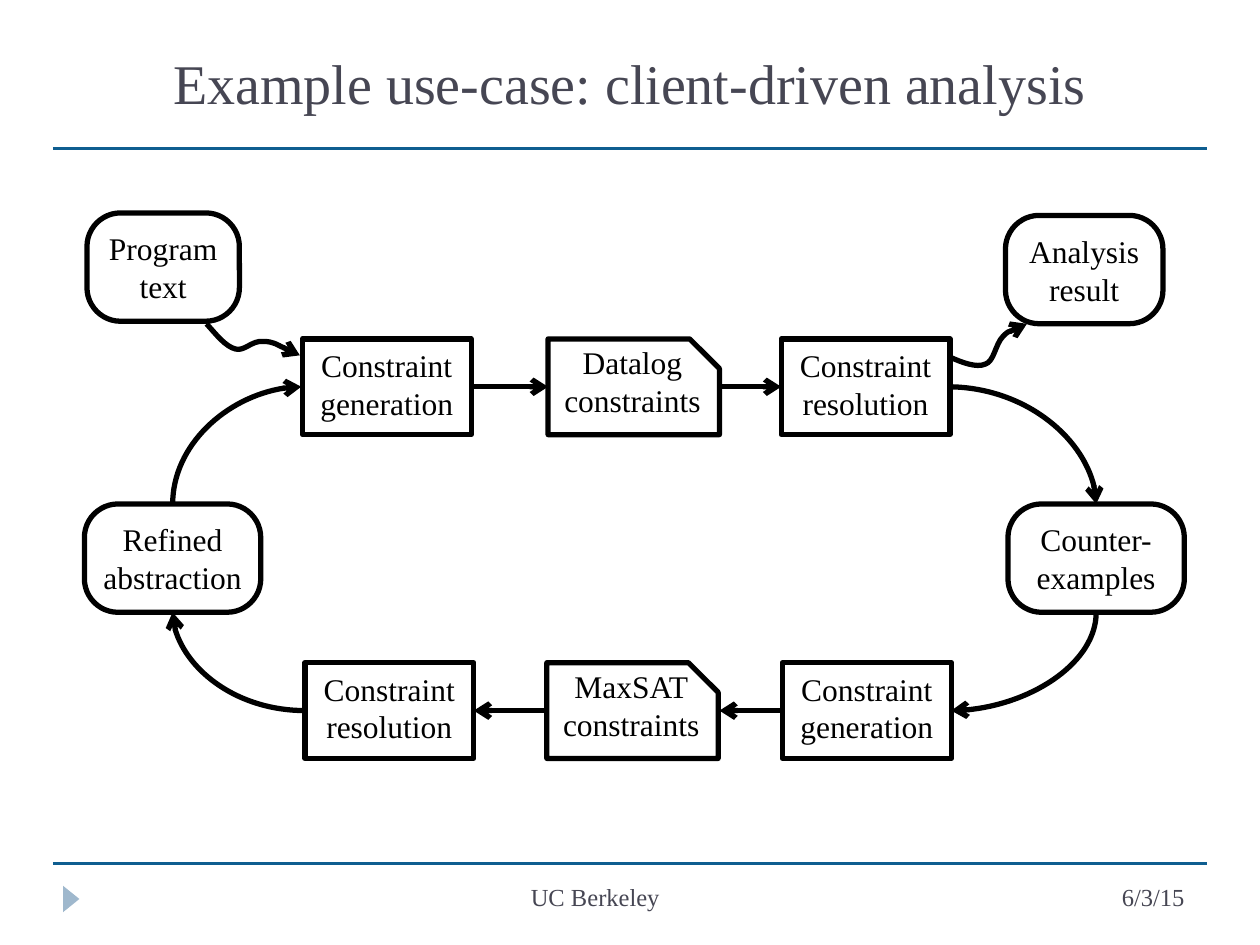
from dataclasses import dataclass

from lxml import etree
from pptx import Presentation
from pptx.dml.color import RGBColor
from pptx.enum import shapes, text
from pptx.oxml.ns import qn
from pptx.util import Inches, Pt

FONT = "Times New Roman"
INK, GREY, BLUE, PALE, WHITE = "000000", "464653", "0F5E90", "9FB8CD", "FFFFFF"
Point = tuple[float, float]


@dataclass(frozen=True)
class Style:
    shape: shapes.MSO_SHAPE
    size: Point
    insets: tuple[float, float, float, float]  # left, top, right, bottom
    adj: float | None = None
    fill: str | None = None


@dataclass(frozen=True)
class Node:
    label: str
    left: float
    top: float
    style: Style


RECT, ROUND, SNIP = (shapes.MSO_SHAPE.RECTANGLE, shapes.MSO_SHAPE.ROUNDED_RECTANGLE,
                     shapes.MSO_SHAPE.SNIP_1_RECTANGLE)
ROUND_INSETS = (0, 0.05, 0, 0.05)
STEP = Style(RECT, (1.34, 0.76), (0.1, 0.05, 0.1, 0.1), fill=WHITE)
DATA = Style(SNIP, (1.36, 0.76), (0.1, 0, 0, 0.21), 0.31)
STATE = Style(ROUND, (1.4, 0.86), ROUND_INSETS, 0.31)
INPUT = Style(ROUND, (1.21, 0.86), ROUND_INSETS, 0.31)
OUTPUT = Style(ROUND, (1.25, 0.86), ROUND_INSETS, 0.31)

# A "\v" in a label is a line break.
NODES = [
    Node("Program\vtext", 0.69, 1.69, INPUT),
    Node("Analysis\vresult", 7.98, 1.71, OUTPUT),
    Node("Constraint\vgeneration", 2.4, 2.69, STEP),
    Node("Datalog\vconstraints", 4.35, 2.69, DATA),
    Node("Constraint\vresolution", 6.2, 2.69, STEP),
    Node("Refined\vabstraction", 0.67, 4, STATE),
    Node("Counter-examples", 8, 4, STATE),
    Node("Constraint\vresolution", 2.42, 5.26, STEP),
    Node("MaxSAT\vconstraints", 4.34, 5.26, DATA),
    Node("Constraint\vgeneration", 6.21, 5.26, STEP),
]
STRAIGHT_ARROWS = [
    ((3.74, 3.07), (4.35, 3.07)),
    ((5.71, 3.07), (6.2, 3.07)),
    ((6.21, 5.64), (5.71, 5.64)),
    ((4.34, 5.64), (3.76, 5.64)),
]
# Start, end, and whether the arc leaves its start vertically.
ARCS = [
    ((7.52, 3.07), (8.7, 4), False),
    ((8.7, 4.86), (7.55, 5.64), True),
    ((2.42, 5.64), (1.37, 4.86), False),
    ((1.37, 4), (2.39, 3.07), True),
]
# Start point, then two control points and an end point per Bézier segment.
WAVES = [
    [(1.64, 2.57), (1.72, 2.66), (1.79, 2.75), (1.87, 2.77), (1.94, 2.79),
     (2, 2.7), (2.09, 2.71), (2.17, 2.71), (2.33, 2.8), (2.38, 2.82)],
    [(7.53, 2.83), (7.64, 2.88), (7.75, 2.92), (7.82, 2.89), (7.89, 2.87),
     (7.9, 2.73), (7.96, 2.67), (8.01, 2.62), (8.12, 2.59), (8.15, 2.57)],
]


def rgb(color: str) -> RGBColor:
    return RGBColor.from_string(color)


def set_line(sp, color: str = INK, width: float = 3) -> None:
    sp.line.color.rgb = rgb(color)
    sp.line.width = Pt(width)


def add_arrowhead(sp) -> None:
    etree.SubElement(sp.line._get_or_add_ln(), qn("a:tailEnd"), type="arrow")


def set_text(tf, label: str, size: float, color: str, align=text.PP_ALIGN.CENTER) -> None:
    tf.word_wrap = True
    tf.text = label
    p = tf.paragraphs[0]
    p.alignment = align
    p.font.name, p.font.size = FONT, Pt(size)
    p.font.color.rgb = rgb(color)


def add_node(s, node: Node) -> None:
    style = node.style
    sp = s.shapes.add_shape(style.shape, *map(Inches, (node.left, node.top, *style.size)))
    sp.shadow.inherit = False
    if style.adj is not None:
        sp.adjustments[0] = style.adj
    if style.fill:
        sp.fill.solid()
        sp.fill.fore_color.rgb = rgb(style.fill)
    else:
        sp.fill.background()
    set_line(sp)
    tf = sp.text_frame
    tf.margin_left, tf.margin_top, tf.margin_right, tf.margin_bottom = map(Inches, style.insets)
    tf.vertical_anchor = text.MSO_ANCHOR.MIDDLE
    set_text(tf, node.label, 18, INK)


def add_line(s, start: Point, end: Point, color: str = INK, width: float = 3,
             kind=shapes.MSO_CONNECTOR.STRAIGHT):
    c = s.shapes.add_connector(kind, *map(Inches, (*start, *end)))
    set_line(c, color, width)
    etree.SubElement(c._element.spPr, qn("a:effectLst"))
    return c


def add_arc(s, start: Point, end: Point, vertical_first: bool) -> None:
    """Quarter-turn arrow; one leaving vertically is laid out flat, then turned 90°."""
    (x1, y1), (x2, y2) = start, end
    if vertical_first:
        cx, cy = (x1 + x2) / 2, (y1 + y2) / 2
        dx, dy = (y2 - y1) / 2, (x1 - x2) / 2
        start, end = (cx - dx, cy - dy), (cx + dx, cy + dy)
    c = add_line(s, start, end, kind=shapes.MSO_CONNECTOR.CURVE)
    spPr = c._element.spPr
    spPr.find(qn("a:prstGeom")).set("prst", "curvedConnector2")
    if vertical_first:
        spPr.find(qn("a:xfrm")).set("rot", str(90 * 60000))
    add_arrowhead(c)


def add_wave(s, points: list[Point]) -> None:
    """Open freeform whose line segments are regrouped into cubic Béziers."""
    scaled = [(Inches(x), Inches(y)) for x, y in points]
    builder = s.shapes.build_freeform(*scaled[0])
    builder.add_line_segments(scaled[1:], close=False)
    sp = builder.convert_to_shape()
    sp.shadow.inherit = False
    sp.fill.background()
    set_line(sp)
    add_arrowhead(sp)
    path = next(sp._element.iter(qn("a:path")))
    segments = path.findall(qn("a:lnTo"))
    for i in range(0, len(segments), 3):
        curve = etree.SubElement(path, qn("a:cubicBezTo"))
        for segment in segments[i:i + 3]:
            curve.append(segment[0])
            path.remove(segment)


def add_label(s, label: str, left: float, width: float, align) -> None:
    tb = s.shapes.add_textbox(*map(Inches, (left, 6.95, width, 0.4)))
    set_text(tb.text_frame, label, 14, GREY, align)


def main() -> None:
    prs = Presentation()
    prs.slide_width, prs.slide_height = Inches(10), Inches(7.5)
    s = prs.slides.add_slide(prs.slide_layouts[5])

    title = s.shapes.title
    title.left, title.top, title.width, title.height = map(Inches, (0.5, 0.17, 9, 0.97))
    title.text_frame.vertical_anchor = text.MSO_ANCHOR.MIDDLE
    set_text(title.text_frame, "Example use-case: client-driven analysis", 32, GREY)

    for y in (1.18, 6.85):
        add_line(s, (0.42, y), (9.58, y), BLUE, 1.75)
    marker = s.shapes.add_shape(shapes.MSO_SHAPE.ISOSCELES_TRIANGLE,
                                *map(Inches, (0.46, 7.07, 0.21, 0.13)))
    marker.rotation = 90
    marker.shadow.inherit = False
    marker.fill.solid()
    marker.fill.fore_color.rgb = rgb(PALE)
    marker.line.fill.background()

    for start, end in STRAIGHT_ARROWS:
        add_arrowhead(add_line(s, start, end))
    for arc in ARCS:
        add_arc(s, *arc)
    for node in NODES:
        add_node(s, node)
    for wave in WAVES:
        add_wave(s, wave)

    add_label(s, "UC Berkeley", 1.56, 6.33, text.PP_ALIGN.CENTER)
    add_label(s, "6/3/15", 7, 2.5, text.PP_ALIGN.RIGHT)
    prs.save("out.pptx")


if __name__ == "__main__":
    main()
